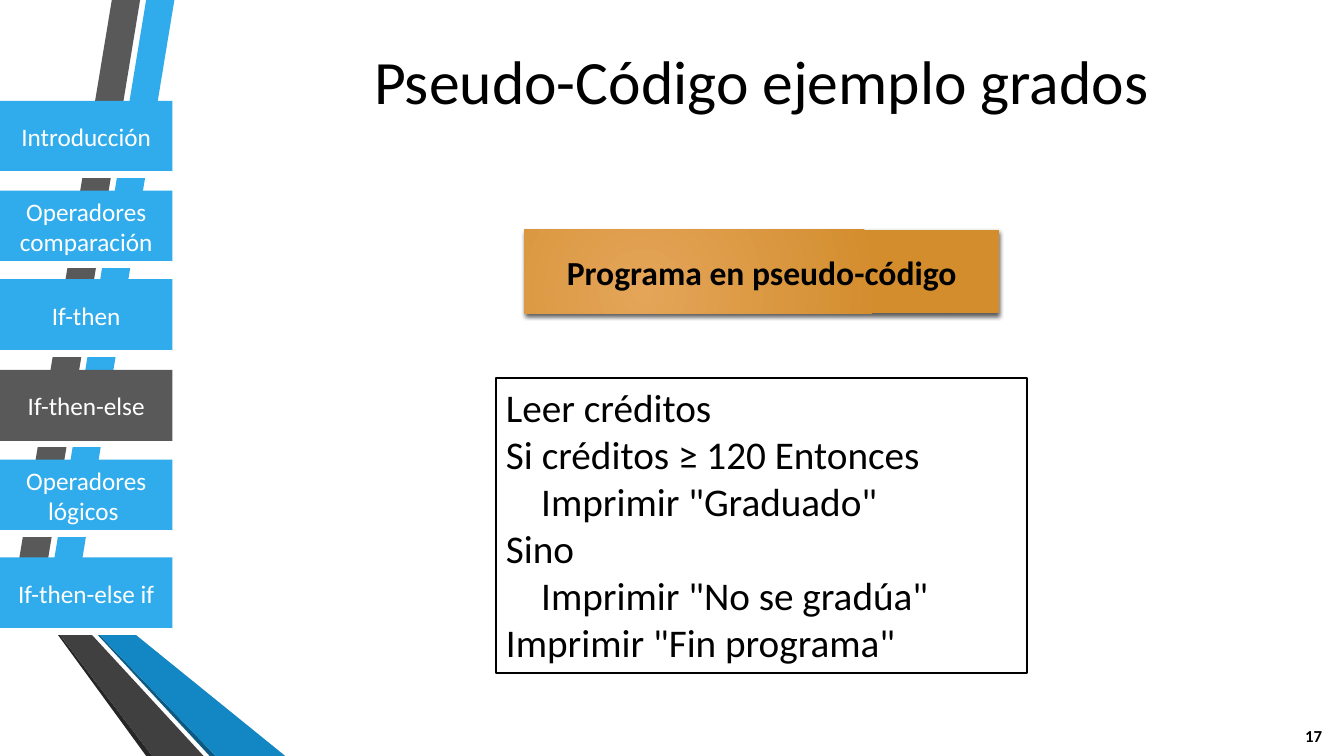
"""Build the slide with the pseudo-code example and the side menu."""
from lxml import etree
from pptx import Presentation
from pptx import util as u
from pptx.dml import color
from pptx.enum import shapes, text
from pptx.oxml import parse_xml

DRAWING = "http://schemas.openxmlformats.org/drawingml/2006/main"


def paint(shape, fill=None, line=None):
    """Set a solid fill and a thin outline, or leave either out."""
    shape.shadow.inherit = False
    shape.fill.background()
    shape.line.fill.background()
    if fill:
        shape.fill.solid()
        shape.fill.fore_color.rgb = color.RGBColor.from_string(fill)
    if line:
        shape.line.color.rgb = color.RGBColor.from_string(line)
        shape.line.width = u.Pt(1.25)


def add_box(place, lines=(), size=18, ink="000000", fill=None, line=None,
            bold=False, align=text.PP_ALIGN.CENTER):
    """Add a rectangle with one paragraph for each line of text."""
    box = page.shapes.add_shape(shapes.MSO_SHAPE.RECTANGLE, *map(u.Inches, place))
    paint(box, fill, line)
    frame = box.text_frame
    frame.word_wrap = True
    frame.vertical_anchor = text.MSO_ANCHOR.MIDDLE
    if lines:
        frame.text = "\n".join(lines)
    for para in frame.paragraphs:
        para.alignment = align
        for span in para.runs:
            span.font.name = "Calibri"
            span.font.size = u.Pt(size)
            span.font.bold = bold
            span.font.color.rgb = color.RGBColor.from_string(ink)
    return box


deck = Presentation()
deck.slide_width = u.Inches(13.33)
deck.slide_height = u.Inches(7.5)
page = deck.slides.add_slide(deck.slide_layouts[6])

ribbons = [
    ("30ACEC", [(0.5, 5.78), (0.77, 5.83), (1.73, 0), (1.45, 0)]),
    ("595959", [(1.39, 0), (1.11, 0), (0.16, 5.73), (0.44, 5.77)]),
    ("262626", [(0.16, 5.73), (1.45, 7.5), (1.51, 7.5)]),
    ("0C5A82", [(0.5, 5.79), (2.08, 7.5), (2.14, 7.5)]),
    ("1287C3", [(0.5, 5.79), (2.14, 7.5), (2.83, 7.5), (0.77, 5.83), (0.5, 5.78)]),
    ("404040", [(2.02, 7.5), (0.48, 5.83), (0.43, 5.77), (0.16, 5.73), (1.51, 7.5)]),
]
for fill, points in ribbons:
    corners = [(u.Inches(x), u.Inches(y)) for x, y in points]
    outline = page.shapes.build_freeform(*corners[0])
    outline.add_line_segments(corners[1:], close=True)
    paint(outline.convert_to_shape(), fill)

menu = [
    (1, ["Introducción"]),
    (1.89, ["Operadores", "comparación"]),
    (2.77, ["If-then"]),
    (3.67, ["If-then-else"]),
    (4.56, ["Operadores lógicos "]),
    (5.53, ["If-then-else if"]),
]
for top, label in menu:
    fill = "595959" if label == ["If-then-else"] else "30ACEC"
    add_box((0, top, 1.71, 0.71), label, ink="FFFFFF", fill=fill)
    add_box((0, top + 0.71, 1.71, 0.05), fill="FFFFFF", line="FFFFFF")

add_box((12.73, 7.1, 0.6, 0.4), ["17"], size=12, bold=True)

title = page.shapes.add_textbox(*map(u.Inches, (2.27, 0.24, 10.57, 1.11)))
title.text_frame.word_wrap = True
title.text_frame.vertical_anchor = text.MSO_ANCHOR.MIDDLE
title.text_frame.text = "Pseudo-Código ejemplo grados"
heading = title.text_frame.paragraphs[0]
heading.alignment = text.PP_ALIGN.CENTER
heading.runs[0].font.name = "Calibri"
heading.runs[0].font.size = u.Pt(44)
heading.runs[0].font.color.rgb = color.RGBColor.from_string("000000")

code = add_box(
    (4.92, 3.75, 5.27, 2.93),
    ["Leer créditos", "Si créditos ≥ 120 Entonces", 'Imprimir "Graduado"',
     "Sino", 'Imprimir "No se gradúa"', 'Imprimir "Fin programa"'],
    size=28, fill="FFFFFF", line="000000", align=text.PP_ALIGN.LEFT)
code.text_frame.vertical_anchor = text.MSO_ANCHOR.TOP
for row in (2, 4):
    indent = code.text_frame.paragraphs[row]._p.get_or_add_pPr()
    indent.set("marL", str(u.Inches(0.35)))
    indent.set("indent", "0")

badge = add_box((5.2, 2.28, 4.71, 0.83), ["Programa en pseudo-código"], size=24, bold=True)
badge.fill.gradient()
for stop, shade in zip(badge.fill.gradient_stops, ("E4A559", "D38D2D")):
    stop.color.rgb = color.RGBColor.from_string(shade)
properties = badge._element.spPr
linear = properties.find(f".//{{{DRAWING}}}lin")
linear.getparent().replace(linear, parse_xml(
    f'<a:path xmlns:a="{DRAWING}" path="circle">'
    '<a:fillToRect l="50000" t="100000" r="100000" b="50000"/></a:path>'))
shadow = etree.SubElement(
    properties.find(f"{{{DRAWING}}}effectLst"), f"{{{DRAWING}}}outerShdw",
    blurRad=str(u.Pt(3)), dist=str(u.Pt(2)), dir="5400000", rotWithShape="0")
tint = etree.SubElement(shadow, f"{{{DRAWING}}}srgbClr", val="000000")
etree.SubElement(tint, f"{{{DRAWING}}}alpha", val="64000")

deck.save("out.pptx")
